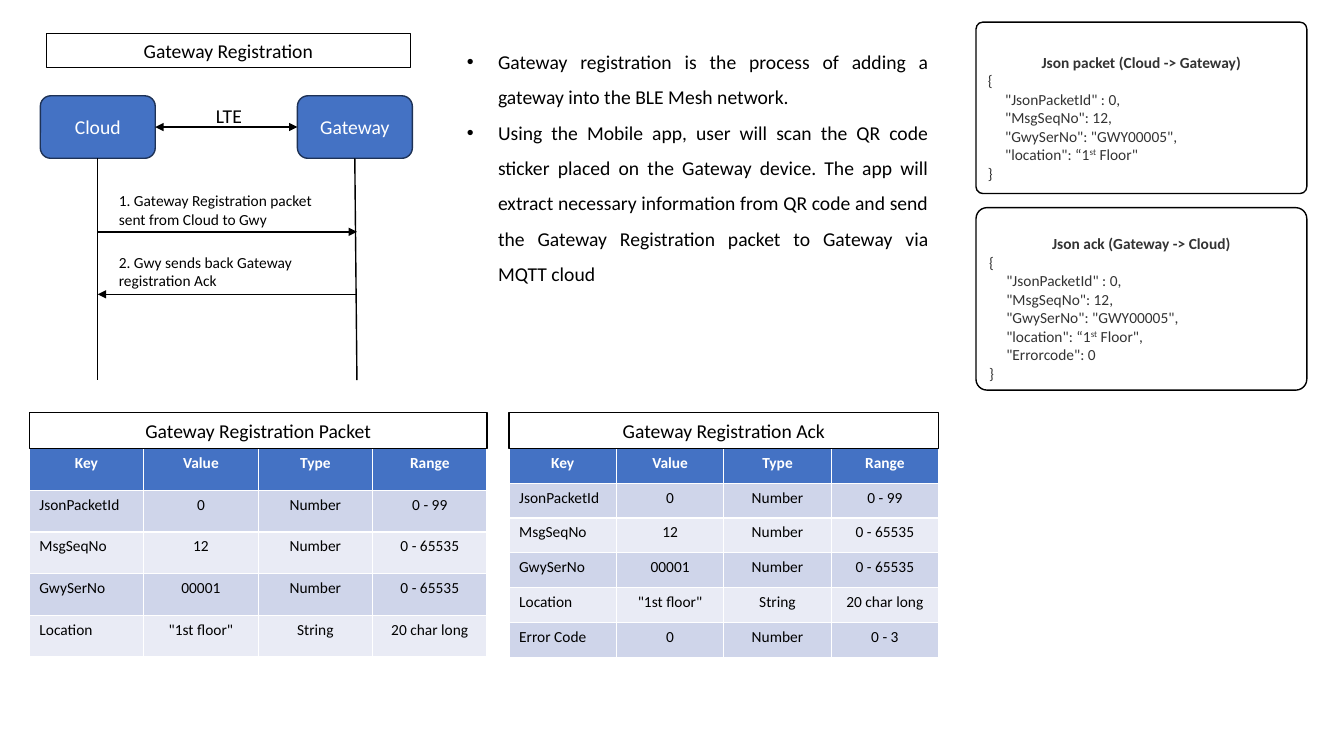
from lxml.etree import SubElement
from pptx import Presentation
from pptx.dml.color import RGBColor as RGB
from pptx.enum.shapes import MSO_CONNECTOR as CONN, MSO_SHAPE as SHAPE
from pptx.enum.text import MSO_ANCHOR as ANCHOR, MSO_AUTO_SIZE as AUTO, PP_ALIGN as ALIGN
from pptx.oxml.ns import qn
from pptx.util import Inches, Pt

COLORS = {"blue": "4472C4", "navy": "1E3256", "black": "000000", "white": "FFFFFF",
          "code": "333333", "band": "CFD5EA", "pale": "E9EBF5"}
C = {name: RGB.from_string(value) for name, value in COLORS.items()}

prs = Presentation()
prs.slide_width, prs.slide_height = Inches(13.33), Inches(7.5)
COL, ROW = prs.slide_width / 100, prs.slide_height / 100
s = prs.slides.add_slide(prs.slide_layouts[1])


def grid(x, y, w, h):
    return int(x * COL), int(y * ROW), int(w * COL), int(h * ROW)


def style(p, size, color="black", align=ALIGN.CENTER, bold=False):
    p.alignment = align
    for r in p.runs:
        r.font.name, r.font.size, r.font.bold = "Calibri", Pt(size), bold
        r.font.color.rgb = C[color]


title, body = s.shapes.title, s.placeholders[1]
for sp, area in ((title, (3.45, 4.4, 27.08, 4.53)), (body, (33.98, 4.4, 35.86, 33.87))):
    sp.left, sp.top, sp.width, sp.height = grid(*area)
    sp.text_frame.auto_size = AUTO.NONE
title.text_frame.text = "Gateway Registration"
style(title.text_frame.paragraphs[0], 14)
title.fill.solid()
title.fill.fore_color.rgb = C["white"]
title.line.color.rgb = C["black"]
title.line.width = Pt(1)

body.text_frame.text = "\n".join([
    "Gateway registration is the process of adding a gateway into the BLE Mesh network.",
    "Using the Mobile app, user will scan the QR code sticker placed on the Gateway device. "
    "The app will extract necessary information from QR code and send the Gateway "
    "Registration packet to Gateway via MQTT cloud"])
for p in body.text_frame.paragraphs:
    pPr = p._p.get_or_add_pPr()
    pPr.set("marL", str(Inches(0.31)))
    pPr.set("indent", str(-Inches(0.31)))
    SubElement(pPr, qn("a:buFont"), typeface="Arial")
    SubElement(pPr, qn("a:buChar"), char="•")
    p.line_spacing, p.space_before = 1.5, Pt(0)
    style(p, 14, align=ALIGN.JUSTIFY)

CLOUD_X, GATEWAY_X, NODE_W = 3, 22.13, 8.55
NODE_Y, NODE_H = 12.67, 8.27
CLOUD_LINE, GATEWAY_LINE = CLOUD_X + NODE_W / 2, 26.56
NODE_BOTTOM, LINE_END = NODE_Y + NODE_H, 50.27
LINK_Y = NODE_Y + NODE_H / 2

for name, x in (("Cloud", CLOUD_X), ("Gateway", GATEWAY_X)):
    sp = s.shapes.add_shape(SHAPE.ROUNDED_RECTANGLE, *grid(x, NODE_Y, NODE_W, NODE_H))
    sp.shadow.inherit = False
    sp.fill.solid()
    sp.fill.fore_color.rgb = C["blue"]
    sp.line.color.rgb = C["navy"]
    sp.line.width = Pt(1)
    sp.text_frame.text = name
    style(sp.text_frame.paragraphs[0], 14, "white")

for x1, y1, x2, y2, ends in (
        (CLOUD_LINE, NODE_BOTTOM, CLOUD_LINE, LINE_END, ()),
        (26.4, NODE_BOTTOM, GATEWAY_LINE, LINE_END, ()),
        (CLOUD_X + NODE_W, LINK_Y, GATEWAY_X, LINK_Y, ("headEnd", "tailEnd")),
        (CLOUD_LINE, 30.67, GATEWAY_LINE, 30.67, ("tailEnd",)),
        (GATEWAY_LINE, 38.93, CLOUD_LINE, 38.93, ("tailEnd",))):
    line = s.shapes.add_connector(CONN.STRAIGHT, *grid(x1, y1, x2, y2))
    line.line.color.rgb = C["black"]
    line.line.width = Pt(1)
    ln = line.line._get_or_add_ln()
    for end in ends:
        SubElement(ln, qn(f"a:{end}"), type="triangle")
    SubElement(line._element.spPr, qn("a:effectLst"))

for text, area, size, align in (
        ("LTE", (13.88, 13.07, 6.3, 4.53), 14, ALIGN.CENTER),
        ("1. Gateway Registration packet sent from Cloud to Gwy",
         (8.1, 24.67, 17.18, 6.27), 11, ALIGN.LEFT),
        ("2. Gwy sends back Gateway registration Ack",
         (8.1, 32.8, 17.18, 6.27), 11, ALIGN.LEFT)):
    tf = s.shapes.add_textbox(*grid(*area)).text_frame
    tf.word_wrap = True
    tf.text = text
    style(tf.paragraphs[0], size, align=align)

HEADER = ("Key", "Value", "Type", "Range")
FIELDS = [("JsonPacketId", "0", "Number", "0 - 99"),
          ("MsgSeqNo", "12", "Number", "0 - 65535"),
          ("GwySerNo", "00001", "Number", "0 - 65535"),
          ("Location", '"1st floor"', "String", "20 char long")]
ERROR = ("Error Code", "0", "Number", "0 - 3")
TABLE_Y, TABLE_H, CAPTION_H = 59.33, 27.6, 4.8

for caption, x, w, fields in (
        ("Gateway Registration Packet", 2.18, 34.06, FIELDS),
        ("Gateway Registration Ack", 37.88, 31.96, FIELDS + [ERROR])):
    rows = [HEADER] + fields
    table = s.shapes.add_table(len(rows), len(HEADER), *grid(x, TABLE_Y, w, TABLE_H)).table
    for i, row in enumerate(rows):
        fill = "blue" if i == 0 else "band" if i % 2 else "pale"
        for j, text in enumerate(row):
            cell = table.cell(i, j)
            cell.fill.solid()
            cell.fill.fore_color.rgb = C[fill]
            cell.text_frame.text = text
            style(cell.text_frame.paragraphs[0], 11, "black" if i else "white",
                  ALIGN.LEFT if i and j == 0 else ALIGN.CENTER, i == 0)
    sp = s.shapes.add_shape(SHAPE.RECTANGLE, *grid(x, TABLE_Y - CAPTION_H, w, CAPTION_H))
    sp.shadow.inherit = False
    sp.fill.solid()
    sp.fill.fore_color.rgb = C["white"]
    sp.line.color.rgb = C["black"]
    sp.line.width = Pt(1)
    sp.text_frame.text = caption
    style(sp.text_frame.paragraphs[0], 14)

PACKET = ['"JsonPacketId" : 0,', '"MsgSeqNo": 12,', '"GwySerNo": "GWY00005",']
for heading, y, h, corner, members in (
        ("Json packet (Cloud -> Gateway)", 2.93, 22.67, 0.04, PACKET + ['"location": “1|st| Floor"']),
        ("Json ack (Gateway -> Cloud)", 27.47, 24.13, 0.06,
         PACKET + ['"location": “1|st| Floor",', '"Errorcode": 0'])):
    sp = s.shapes.add_shape(SHAPE.ROUNDED_RECTANGLE, *grid(72.62, y, 24.61, h))
    sp.adjustments[0] = corner
    sp.shadow.inherit = False
    sp.fill.solid()
    sp.fill.fore_color.rgb = C["white"]
    sp.line.color.rgb = C["black"]
    sp.line.width = Pt(1)
    tf = sp.text_frame
    tf.vertical_anchor = ANCHOR.MIDDLE
    tf.margin_top = Inches(0.24)
    tf.text = heading
    style(tf.paragraphs[0], 11, "code", bold=True)
    for text in ["{"] + members + ["}"]:
        p = tf.add_paragraph()
        if text in members:
            p._p.get_or_add_pPr().set("marL", str(Inches(0.17)))
        for k, part in enumerate(text.split("|")):
            r = p.add_run()
            r.text = part
            if k == 1:
                r._r.get_or_add_rPr().set("baseline", "30000")
        style(p, 11, "code", ALIGN.LEFT)

prs.save("out.pptx")
